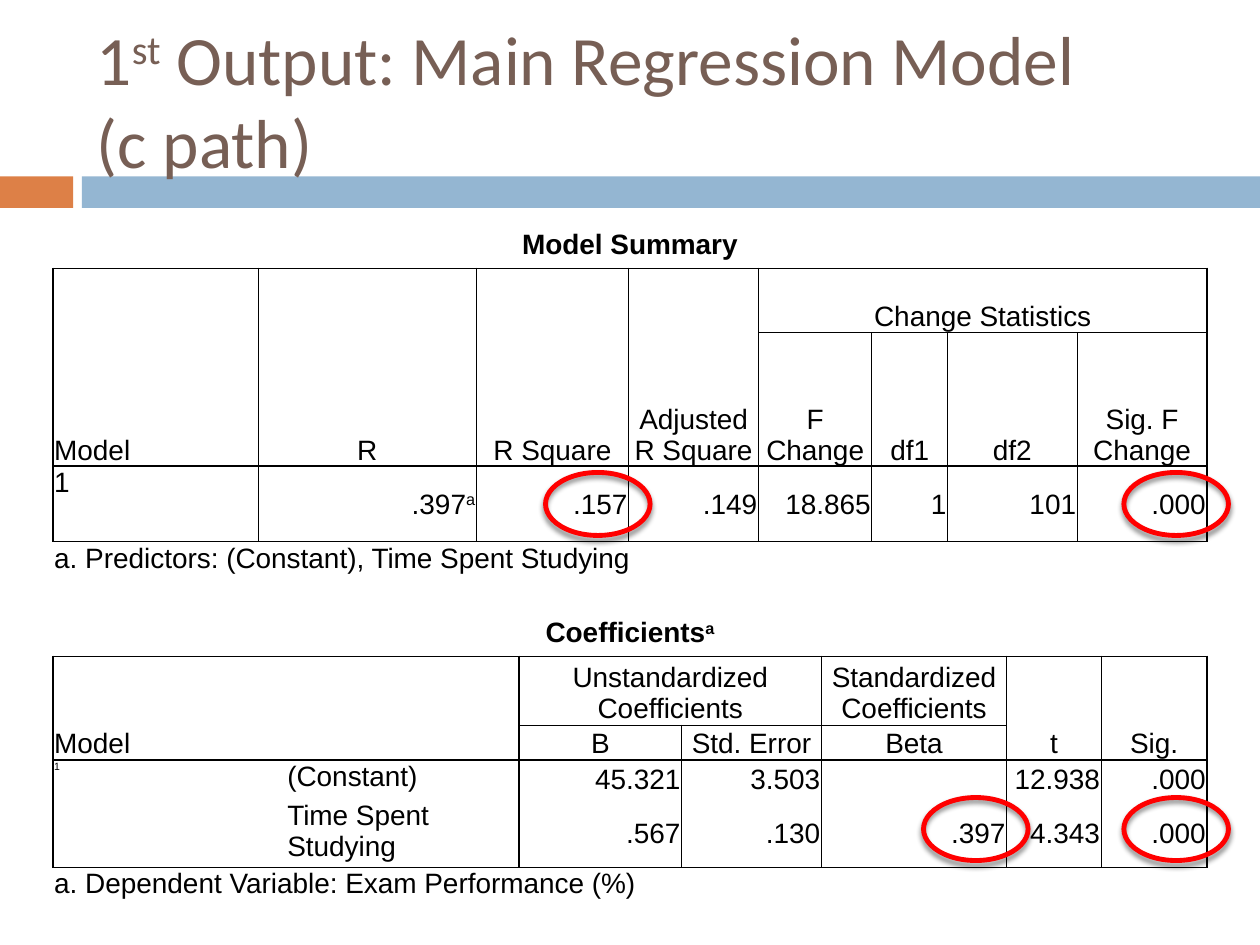
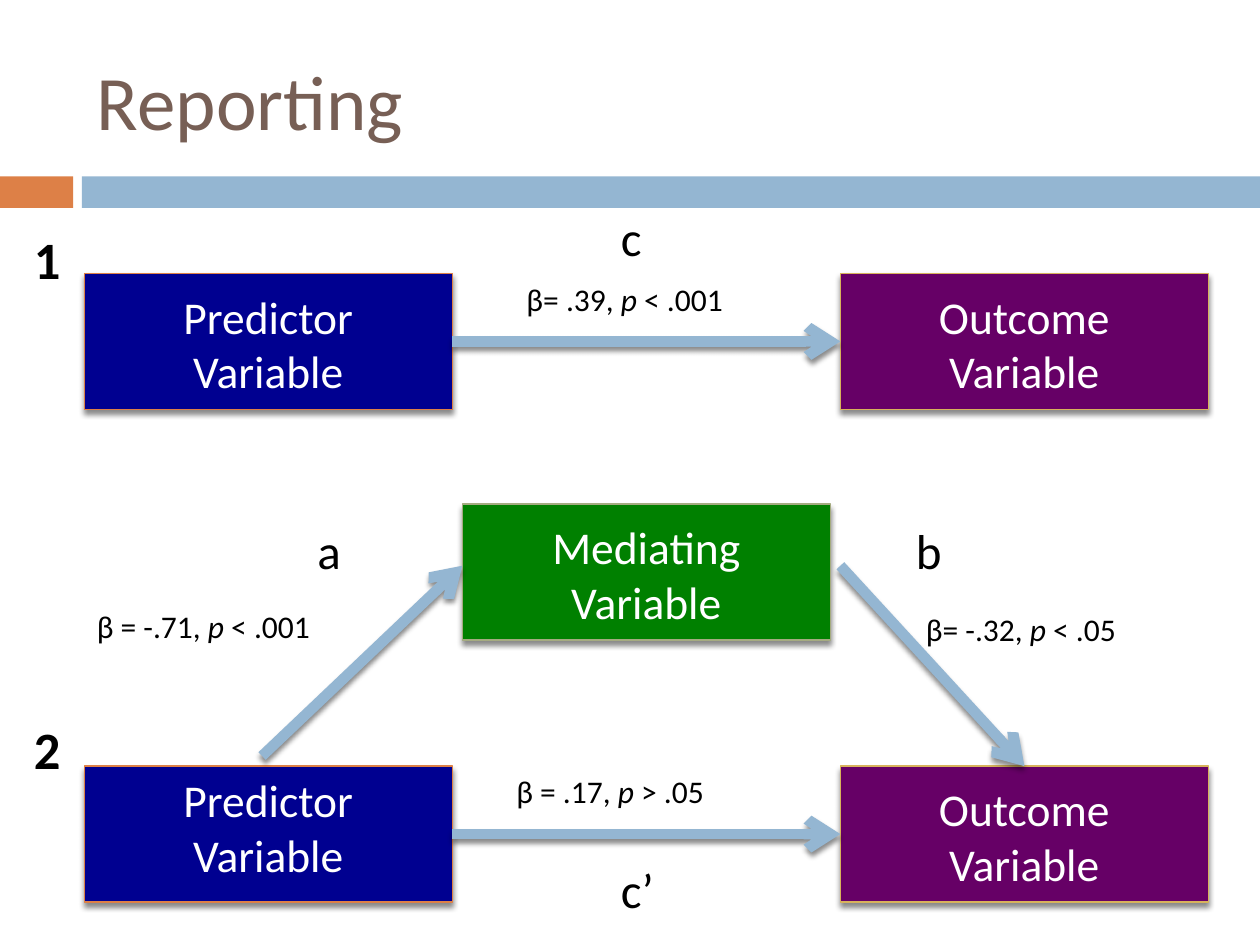
from lxml import etree
from pptx import Presentation
from pptx.dml.color import RGBColor
from pptx.enum import shapes, text
from pptx.oxml.ns import qn
from pptx.util import Inches, Pt

BLACK, WHITE, RED = "000000", "FFFFFF", "FF0000"
BROWN, ORANGE, BLUE = "775F55", "DD8047", "94B6D2"
NAVY, PURPLE, GREEN = "000090", "660066", "008000"
GOLD, SAGE = "D8B25C", "A5AB81"

LEFT, CENTER, RIGHT = text.PP_ALIGN.LEFT, text.PP_ALIGN.CENTER, text.PP_ALIGN.RIGHT
TOP, MIDDLE, BOTTOM = text.MSO_ANCHOR.TOP, text.MSO_ANCHOR.MIDDLE, text.MSO_ANCHOR.BOTTOM
RECT, OVAL = shapes.MSO_SHAPE.RECTANGLE, shapes.MSO_SHAPE.OVAL

BOX_W, BOX_H = 2.92, 1.08


def rgb(color):
    return RGBColor.from_string(color)


def sub(parent, tag, **attrs):
    return etree.SubElement(parent, qn(tag), attrs)


def write(tf, content, size=18, font="Calibri", color=BLACK, bold=False,
          align=LEFT, wrap=True):
    """Write one paragraph per line; ^x^ is superscript and *x* is italic."""
    if wrap:
        tf.word_wrap = True
    for i, line in enumerate(content.split("\n")):
        p = tf.paragraphs[0] if i == 0 else tf.add_paragraph()
        p.alignment = align
        for j, level in enumerate(line.split("^")):
            for k, piece in enumerate(level.split("*")):
                r = p.add_run()
                r.text = piece
                f = r.font
                f.size, f.name, f.bold = Pt(size), font, bold
                f.italic = k % 2 == 1
                f.color.rgb = rgb(color)
                if j % 2:
                    r._r.get_or_add_rPr().set("baseline", "30000")


def add_text(slide, x, y, w, h, content, anchor=TOP, **fmt):
    tf = slide.shapes.add_textbox(Inches(x), Inches(y), Inches(w), Inches(h)).text_frame
    tf.vertical_anchor = anchor
    write(tf, content, **fmt)


def add_shape(slide, kind, x, y, w, h, fill=None, line=None, width=0.79):
    s = slide.shapes.add_shape(kind, Inches(x), Inches(y), Inches(w), Inches(h))
    s.shadow.inherit = False
    if fill:
        s.fill.solid()
        s.fill.fore_color.rgb = rgb(fill)
    else:
        s.fill.background()
    if line:
        s.line.color.rgb = rgb(line)
        s.line.width = Pt(width)
    else:
        s.line.fill.background()
    return s


def drop_shadow(s):
    spPr = s._element.spPr
    effects = spPr.find(qn("a:effectLst"))
    if effects is None:
        effects = sub(spPr, "a:effectLst")
    shadow = sub(effects, "a:outerShdw", blurRad="38100", dist="30480",
                 dir="5400000", rotWithShape="0")
    sub(sub(shadow, "a:srgbClr", val=BLACK), "a:alpha", val="45000")


def base_slide(prs, title, size):
    slide = prs.slides.add_slide(prs.slide_layouts[6])
    add_shape(slide, RECT, 0, 1.4, 0.58, 0.25, fill=ORANGE)
    add_shape(slide, RECT, 0.65, 1.4, 9.35, 0.25, fill=BLUE)
    add_text(slide, 0.67, 0.25, 8.92, 1.08, title, anchor=MIDDLE, size=size, color=BROWN)
    return slide


def set_border(cell, side, width):
    ln = sub(cell._tc.get_or_add_tcPr(), f"a:ln{side}", w=str(Pt(width or 0)))
    if width:
        sub(sub(ln, "a:solidFill"), "a:srgbClr", val=BLACK)
    else:
        sub(ln, "a:noFill")


def cell_layout(r, c, last, body, stub):
    """Alignment and anchor of a cell by its part of the table."""
    if r == 0:
        return CENTER, MIDDLE
    if r == last:
        return LEFT, TOP
    if r < body:
        return (LEFT if c < stub else CENTER), BOTTOM
    return (LEFT, TOP) if c < stub else (RIGHT, MIDDLE)


def stats_table(slide, x, y, cols, heights, rows, merges, body, stub, model_size=16):
    """Table of title, headers, body from row `body`, and footnote; `stub` label columns.

    merges maps a top left cell to its (rows, columns) span.
    """
    n, m = len(heights), len(cols)
    frame = slide.shapes.add_table(n, m, Inches(x), Inches(y),
                                   Inches(sum(cols)), Inches(sum(heights)))
    table = frame.table
    table.first_row = table.horz_banding = False
    for c, w in enumerate(cols):
        table.columns[c].width = Inches(w)
    for r, h in enumerate(heights):
        table.rows[r].height = Inches(h)

    def rule_above(r):
        if r in (1, body, n - 1):
            return 1
        return 0.5 if 1 < r < body else None

    def rule_before(r, c):
        if r in (0, n - 1) or 0 < c < stub:
            return None
        return 1 if c in (0, stub, m) else 0.5

    owner = {(r + i, c + j): (r, c, h, w) for (r, c), (h, w) in merges.items()
             for i in range(h) for j in range(w)}
    for r in range(n):
        for c in range(m):
            cell = table.cell(r, c)
            r0, c0, h, w = owner.get((r, c), (r, c, 1, 1))
            r1, c1 = r0 + h, c0 + w
            origin = (r, c) == (r0, c0)
            edges = {"L": c == c0 and rule_before(r, c0),
                     "R": (origin or c + 1 == c1) and rule_before(r, c1),
                     "T": r == r0 and rule_above(r0),
                     "B": (origin or r + 1 == r1) and rule_above(r1)}
            for side, width in edges.items():
                set_border(cell, side, width)
            cell.fill.solid()
            cell.fill.fore_color.rgb = rgb(WHITE)
            cell.margin_left = cell.margin_right = cell.margin_top = Inches(0.01)
            cell.margin_bottom = 0
            align, cell.vertical_anchor = cell_layout(r, c, n - 1, body, stub)
            content = rows[r][c] if c < len(rows[r]) else ""
            size = model_size if r >= body and r < n - 1 and c == 0 else 16
            write(cell.text_frame, content, size=size, font="Arial", bold=r == 0,
                  align=align, wrap=False)
    for (r, c), (h, w) in merges.items():
        table.cell(r, c).merge(table.cell(r + h - 1, c + w - 1))


def regression_slide(prs):
    slide = base_slide(prs, "1^st^ Output: Main Regression Model\n(c path)", 39.6)
    stats_table(
        slide, 0.42, 1.75,
        cols=[1.63, 1.73, 1.21, 1.03, 0.9, 0.6, 1.03, 1.03],
        heights=[0.38, 0.51, 1.06, 0.6, 0.63],
        rows=[["Model Summary"],
              ["Model", "R", "R Square", "Adjusted R Square", "Change Statistics"],
              ["", "", "", "", "F Change", "df1", "df2", "Sig. F Change"],
              ["1", ".397^a^", ".157", ".149", "18.865", "1", "101", ".000"],
              ["a. Predictors: (Constant), Time Spent Studying"]],
        merges={(0, 0): (1, 8), (1, 0): (2, 1), (1, 1): (2, 1), (1, 2): (2, 1),
                (1, 3): (2, 1), (1, 4): (1, 4), (4, 0): (1, 4)},
        body=3, stub=1)
    stats_table(
        slide, 0.42, 4.83,
        cols=[1.85, 1.85, 1.29, 1.11, 1.47, 0.75, 0.84],
        heights=[0.38, 0.42, 0.25, 0.22, 0.25, 0.27],
        rows=[["Coefficients^a^"],
              ["Model", "", "Unstandardized Coefficients", "",
               "Standardized Coefficients", "t", "Sig."],
              ["", "", "B", "Std. Error", "Beta"],
              ["1", "(Constant)", "45.321", "3.503", "", "12.938", ".000"],
              ["", "Time Spent Studying", ".567", ".130", ".397", "4.343", ".000"],
              ["a. Dependent Variable: Exam Performance (%)"]],
        merges={(0, 0): (1, 7), (1, 0): (2, 2), (1, 2): (1, 2), (1, 5): (2, 1),
                (1, 6): (2, 1), (3, 0): (2, 1), (5, 0): (1, 4)},
        body=3, stub=2, model_size=6)
    for x, y in [(4.33, 3.75), (8.92, 3.75), (7.33, 6.33), (8.92, 6.33)]:
        drop_shadow(add_shape(slide, OVAL, x, y, 0.83, 0.5, line=RED, width=2.79))


def variable_box(slide, x, y, name, fill, line, inset=0.12):
    s = add_shape(slide, RECT, x, y, BOX_W, BOX_H, fill, line)
    drop_shadow(s)
    tf = s.text_frame
    tf.vertical_anchor = TOP
    tf.margin_top = Inches(inset)
    write(tf, f"{name}\nVariable", size=26, color=WHITE, align=CENTER)
    return s


def arrow(slide, start, end, begin_at=None, end_at=None):
    """Arrow between points; begin_at and end_at are (shape, side) joints."""
    s = slide.shapes.add_connector(shapes.MSO_CONNECTOR.STRAIGHT,
                                   *(Inches(v) for v in start + end))
    if begin_at:
        s.begin_connect(*begin_at)
    if end_at:
        s.end_connect(*end_at)
    s.line.color.rgb = rgb(BLUE)
    s.line.width = Pt(6)
    sub(s.line._get_or_add_ln(), "a:tailEnd", type="arrow")
    drop_shadow(s)


def direct_path(slide, y, predictor_inset=0.12):
    """Predictor and outcome boxes joined by an arrow; returns the outcome box."""
    predictor = variable_box(slide, 0.67, y, "Predictor", NAVY, ORANGE, predictor_inset)
    outcome = variable_box(slide, 6.67, y, "Outcome", PURPLE, GOLD)
    middle = y + BOX_H / 2
    arrow(slide, (3.59, middle), (6.67, middle), (predictor, 3), (outcome, 1))
    return outcome


def reporting_slide(prs):
    slide = base_slide(prs, "Reporting", 44)
    direct_path(slide, 2.17)
    outcome = direct_path(slide, 6.08, predictor_inset=0.05)
    variable_box(slide, 3.67, 4, "Mediating", GREEN, SAGE)
    arrow(slide, (2.08, 6), (3.67, 4.49))
    arrow(slide, (6.67, 4.49), (8.13, 6.08), end_at=(outcome, 0))

    for step, y in [("1", 1.75), ("2", 5.64)]:
        add_text(slide, 0.17, y, 0.67, 0.61, step, size=30, bold=True)
    for path_name, x, y in [("a", 2.42, 4.08), ("b", 7.17, 4.08),
                            ("c", 4.83, 1.6), ("c’", 4.83, 6.77)]:
        add_text(slide, x, y, 0.58, 0.57, path_name, size=28)
    for result, x, y, w in [("β= .39, *p* < .001", 4.08, 2.17, 2.75),
                            ("β = -.71, *p* < .001", 0.67, 4.77, 2.33),
                            ("β= -.32, *p* < .05", 7.25, 4.79, 2.33),
                            ("β = .17, *p* > .05", 4, 6.08, 2.33)]:
        add_text(slide, x, y, w, 0.4, result)


def main():
    prs = Presentation()
    prs.slide_width, prs.slide_height = Inches(10), Inches(7.5)
    regression_slide(prs)
    reporting_slide(prs)
    prs.save("out.pptx")


if __name__ == "__main__":
    main()
